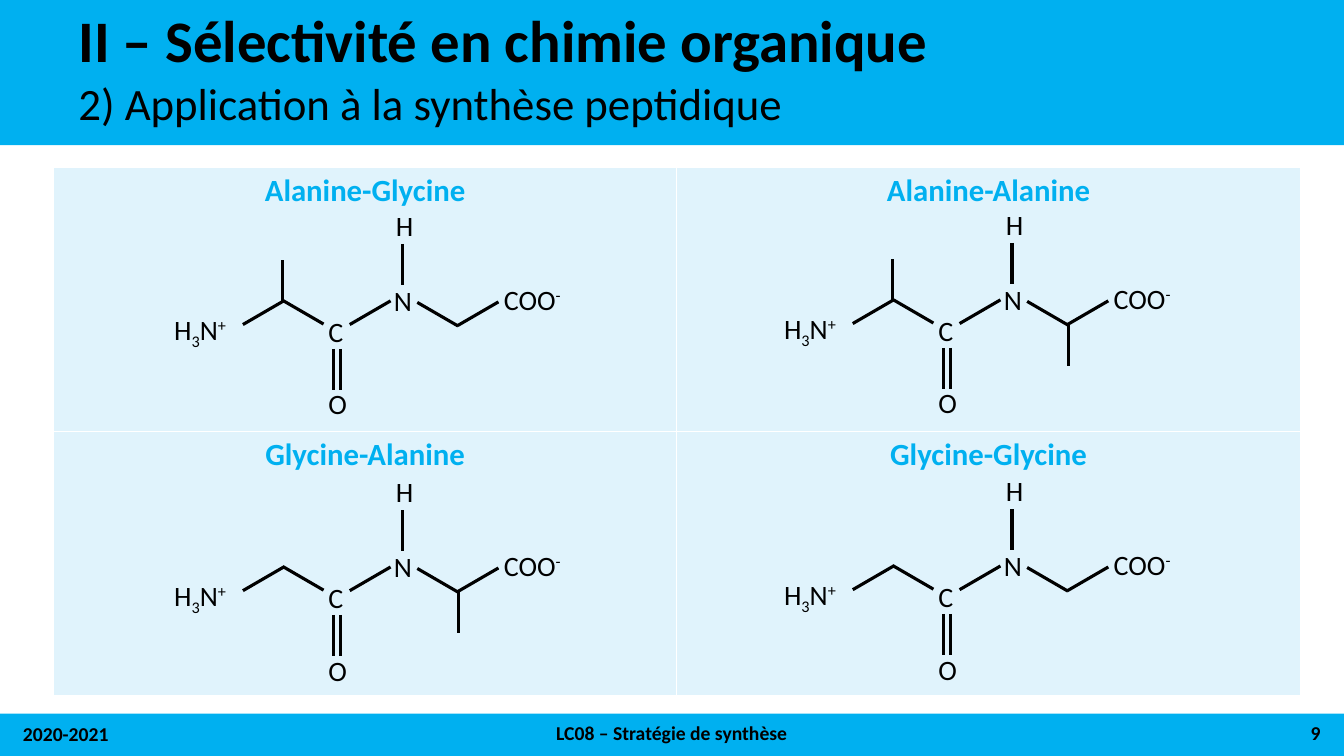
from dataclasses import dataclass
from itertools import product
from typing import Any, NamedTuple

from lxml.etree import SubElement
from pptx import Presentation
from pptx.dml.color import RGBColor
from pptx.enum.shapes import MSO_CONNECTOR, MSO_SHAPE
from pptx.enum.text import MSO_ANCHOR as Anchor, PP_ALIGN as Align
from pptx.oxml.ns import qn
from pptx.util import Inches, Pt

BLACK = RGBColor(0x00, 0x00, 0x00)
WHITE = RGBColor(0xFF, 0xFF, 0xFF)
SKY = RGBColor(0x00, 0xB0, 0xF0)
PALE = RGBColor(0xE0, 0xF3, 0xFC)

# Grid of 0.1 inch modules: every length below counts columns or rows
MODULE = Inches(0.1)
WIDTH, HEIGHT = 133.33, 75


def grid(count: float) -> int:
    return round(count * MODULE)


class Box(NamedTuple):
    col: float
    row: float
    cols: float
    rows: float

    def emu(self) -> list[int]:
        return [grid(length) for length in self]


class Run(NamedTuple):
    text: str
    baseline: int = 0  # percent of the font size


class Vector(NamedTuple):
    col: float
    row: float


@dataclass(frozen=True)
class Label:
    box: Box
    runs: tuple[Run, ...]
    size: float = 20
    bold: bool = False
    align: Align = Align.LEFT
    anchor: Anchor = Anchor.MIDDLE
    spacing: float = 1.0


@dataclass(frozen=True)
class Bond:
    start: Vector
    reach: Vector


@dataclass(frozen=True)
class Dipeptide:
    name: str
    left_methyl: bool
    right_methyl: bool


RISE, FALL, DROP = Vector(4.05, -2.35), Vector(4.05, 2.35), Vector(0, 4.1)

# Molecule layout, measured from the molecule's own corner
ATOMS = (
    Label(Box(0, 10.5, 9, 5.5), (Run("H"), Run("3", -25), Run("N"), Run("+", 30))),
    Label(Box(15.3, 10.5, 3.6, 5.5), (Run("C"),)),
    Label(Box(22, 0, 3.6, 5.5), (Run("H"),)),
    Label(Box(21.8, 7.4, 3.6, 5.5), (Run("N"),)),
    Label(Box(15.3, 17.7, 3.5, 5.5), (Run("O"),)),
    Label(Box(32.7, 7.3, 8.8, 5.5), (Run("COO"), Run("-", 30))),
)
BACKBONE = (
    Bond(Vector(7.8, 12.6), RISE),
    Bond(Vector(11.75, 10.2), FALL),
    Bond(Vector(18.4, 12.6), RISE),
    Bond(Vector(25.1, 10.4), FALL),
    Bond(Vector(29.1, 12.7), RISE),
    Bond(Vector(23.6, 4.6), DROP),
    Bond(Vector(16.8, 15), DROP),
    Bond(Vector(17.5, 15), DROP),
)
LEFT_METHYL = Bond(Vector(11.75, 6.2), DROP)
RIGHT_METHYL = Bond(Vector(29.2, 12.7), DROP)

# Table of dipeptides, row by row
DIPEPTIDES = (
    Dipeptide("Alanine-Glycine", True, False),
    Dipeptide("Alanine-Alanine", True, True),
    Dipeptide("Glycine-Alanine", False, True),
    Dipeptide("Glycine-Glycine", False, False),
)
TABLE = Box(5.3, 16.6, 123.7, 52.4)
CORNER, PITCH = Vector(16.3, 19.6), Vector(60.5, 26.4)

BANDS = (Box(0, -0.1, WIDTH, 14.5), Box(0, 70.8, WIDTH, 4.2))
FOOTER = {"size": 14, "bold": True}
HEADINGS = (
    Label(Box(6.8, 1.1, 117.4, 6.5), (Run("II – Sélectivité en chimie organique"),),
          size=42, bold=True, spacing=0.9),
    Label(Box(6.8, 8, 117.4, 5.5), (Run("2) Application à la synthèse peptidique"),),
          size=32, anchor=Anchor.TOP, spacing=0.8),
    Label(Box(1.3, 70.8, 30, 4), (Run("2020-2021"),), **FOOTER),
    Label(Box(31.3, 70.7, 70.7, 4), (Run("LC08 – Stratégie de synthèse"),),
          align=Align.CENTER, **FOOTER),
    Label(Box(102, 70.7, 30, 4), (Run("9"),), align=Align.RIGHT, **FOOTER),
)


def apply(target: Any, values: dict[str, Any]) -> None:
    for name, value in values.items():
        setattr(target, name, value)


def write(paragraph: Any, run: Run, size: float, bold: bool, color: RGBColor) -> None:
    piece = paragraph.add_run()
    piece.text = run.text
    apply(piece.font, {"name": "Calibri", "size": Pt(size), "bold": bold})
    piece.font.color.rgb = color
    if run.baseline:
        piece.font._element.set("baseline", str(run.baseline * 1000))


def draw_label(shapes: Any, label: Label, corner: Vector = Vector(0, 0)) -> None:
    col, row, cols, rows = label.box
    box = Box(corner.col + col, corner.row + row, cols, rows)
    frame = shapes.add_textbox(*box.emu()).text_frame
    apply(frame, {"word_wrap": True, "vertical_anchor": label.anchor})
    paragraph = frame.paragraphs[0]
    apply(paragraph, {"alignment": label.align, "line_spacing": label.spacing})
    for run in label.runs:
        write(paragraph, run, label.size, label.bold, BLACK)


def draw_bond(shapes: Any, bond: Bond, corner: Vector) -> None:
    col, row = corner.col + bond.start.col, corner.row + bond.start.row
    ends = (col, row, col + bond.reach.col, row + bond.reach.row)
    line = shapes.add_connector(MSO_CONNECTOR.STRAIGHT, *map(grid, ends))
    line.line.width = Pt(2.25)
    line.line.color.rgb = BLACK
    SubElement(line._element.spPr, qn("a:effectLst"))


def draw_molecule(shapes: Any, peptide: Dipeptide, corner: Vector) -> None:
    molecule = shapes.add_group_shape().shapes
    methyls = ((LEFT_METHYL,) * peptide.left_methyl
               + (RIGHT_METHYL,) * peptide.right_methyl)
    for bond in BACKBONE + methyls:
        draw_bond(molecule, bond, corner)
    for atom in ATOMS:
        draw_label(molecule, atom, corner)


def fill_cell(cell: Any, name: str) -> None:
    paragraph = cell.text_frame.paragraphs[0]
    paragraph.alignment = Align.CENTER
    write(paragraph, Run(name), 22, True, SKY)
    properties = cell._tc.get_or_add_tcPr()
    for side in ("lnL", "lnR", "lnT", "lnB"):
        border = SubElement(properties, qn(f"a:{side}"), w=str(Pt(1)))
        SubElement(SubElement(border, qn("a:solidFill")), qn("a:srgbClr"), val=str(WHITE))
    cell.fill.solid()
    cell.fill.fore_color.rgb = PALE


deck = Presentation()
apply(deck, {"slide_width": grid(WIDTH), "slide_height": grid(HEIGHT)})
slide = deck.slides.add_slide(deck.slide_layouts[6])

# Header and footer
for band in BANDS:
    strip = slide.shapes.add_shape(MSO_SHAPE.RECTANGLE, *band.emu())
    strip.shadow.inherit = False
    strip.fill.solid()
    strip.fill.fore_color.rgb = SKY
    strip.line.fill.background()
for heading in HEADINGS:
    draw_label(slide.shapes, heading)

# Dipeptide names, then their molecules
names = slide.shapes.add_table(2, 2, *TABLE.emu()).table
apply(names, {"first_row": False, "horz_banding": False})
places = list(zip(product(range(2), repeat=2), DIPEPTIDES))
for (row, col), peptide in places:
    fill_cell(names.cell(row, col), peptide.name)
for (row, col), peptide in places:
    draw_molecule(slide.shapes, peptide, Vector(
        CORNER.col + col * PITCH.col, CORNER.row + row * PITCH.row - col * 0.1))

deck.save("out.pptx")
